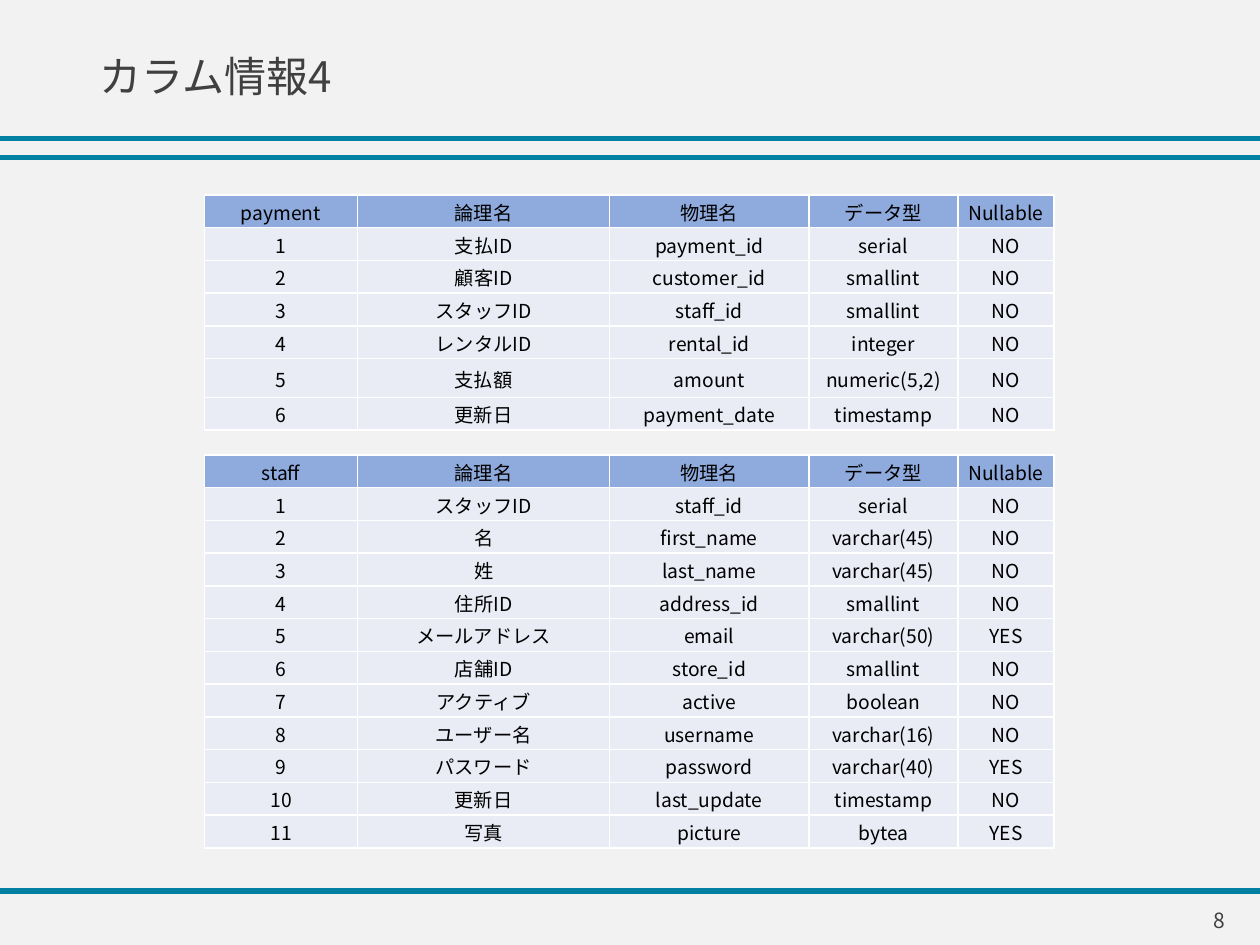
import pptx
import pptx.dml.color
import pptx.enum.shapes
import pptx.enum.text
import pptx.oxml
import pptx.oxml.ns
import pptx.util
from dataclasses import dataclass
from pptx.util import Cm

ALIGN = pptx.enum.text.PP_ALIGN
MIDDLE = pptx.enum.text.MSO_ANCHOR.MIDDLE
RGB = pptx.dml.color.RGBColor.from_string


@dataclass
class Theme:
    font: str = "Noto Sans CJK JP"
    background: str = "F2F2F2"
    rule: str = "0080A3"
    text: str = "404040"
    cell_text: str = "000000"
    header: str = "8FAADC"
    body: str = "E9EBF5"
    border: str = "FFFFFF"
    title_size: int = 24
    cell_size: int = 11
    number_size: int = 12


theme = Theme()


def put_text(tf, text, size, color=theme.text, align=ALIGN.LEFT, spacing=None):
    p = tf.paragraphs[0]
    p.alignment = align
    p.line_spacing = spacing
    r = p.add_run()
    r.text = text
    r.font.size = pptx.util.Pt(size)
    r.font.color.rgb = RGB(color)
    r.font.name = theme.font
    ea = pptx.oxml.parse_xml(f'<a:ea {pptx.oxml.ns.nsdecls("a")} typeface="{theme.font}"/>')
    r.font._element.append(ea)


def add_borders(cell):
    tcPr = cell._tc.get_or_add_tcPr()
    for i, side in enumerate(("lnL", "lnR", "lnT", "lnB")):
        tcPr.insert(i, pptx.oxml.parse_xml(
            f'<a:{side} {pptx.oxml.ns.nsdecls("a")} w="12700"><a:solidFill>'
            f'<a:srgbClr val="{theme.border}"/></a:solidFill></a:{side}>'))


prs = pptx.Presentation()
prs.slide_width, prs.slide_height = Cm(25.4), Cm(19.05)
s = prs.slides.add_slide(prs.slide_layouts[5])
s.background.fill.solid()
s.background.fill.fore_color.rgb = RGB(theme.background)

# Horizontal rules
for y in (2.79, 3.18, 17.96):
    sp = s.shapes.add_connector(pptx.enum.shapes.MSO_CONNECTOR.STRAIGHT,
                                0, Cm(y), prs.slide_width, Cm(y))
    sp.line.color.rgb = RGB(theme.rule)
    sp.line.width = pptx.util.Pt(3)
    sp._element.spPr.append(
        pptx.oxml.parse_xml(f'<a:effectLst {pptx.oxml.ns.nsdecls("a")}/>'))

# Title
sp = s.shapes.title
sp.left, sp.top, sp.width, sp.height = Cm(1.75), Cm(0.38), Cm(16.54), Cm(2.41)
tf = sp.text_frame
tf.word_wrap = True
tf.auto_size = pptx.enum.text.MSO_AUTO_SIZE.NONE
tf.vertical_anchor = MIDDLE
put_text(tf, "カラム情報4", theme.title_size, spacing=0.9)

# Column definitions: logical name, physical name, data type, nullable
headings = ("論理名", "物理名", "データ型", "Nullable")
payment = [
    ("支払ID", "payment_id", "serial", "NO"),
    ("顧客ID", "customer_id", "smallint", "NO"),
    ("スタッフID", "staff_id", "smallint", "NO"),
    ("レンタルID", "rental_id", "integer", "NO"),
    ("支払額", "amount", "numeric(5,2)", "NO"),
    ("更新日", "payment_date", "timestamp", "NO"),
]
staff = [
    ("スタッフID", "staff_id", "serial", "NO"),
    ("名", "first_name", "varchar(45)", "NO"),
    ("姓", "last_name", "varchar(45)", "NO"),
    ("住所ID", "address_id", "smallint", "NO"),
    ("メールアドレス", "email", "varchar(50)", "YES"),
    ("店舗ID", "store_id", "smallint", "NO"),
    ("アクティブ", "active", "boolean", "NO"),
    ("ユーザー名", "username", "varchar(16)", "NO"),
    ("パスワード", "password", "varchar(40)", "YES"),
    ("更新日", "last_update", "timestamp", "NO"),
    ("写真", "picture", "bytea", "YES"),
]
col_widths = (3.09, 5.08, 4.02, 3.0, 1.94)
row_height = 0.66
tall_rows = {("payment", 5): 0.78}

for name, top, columns in (("payment", 3.93, payment), ("staff", 9.17, staff)):
    rows = [(name, *headings)]
    rows += [(str(n), *column) for n, column in enumerate(columns, 1)]
    heights = [tall_rows.get((name, i), row_height) for i in range(len(rows))]
    table = s.shapes.add_table(len(rows), len(col_widths), Cm(4.12), Cm(top),
                               Cm(sum(col_widths)), Cm(sum(heights))).table
    for col, width in zip(table.columns, col_widths):
        col.width = Cm(width)
    for i, values in enumerate(rows):
        table.rows[i].height = Cm(heights[i])
        for j, value in enumerate(values):
            cell = table.cell(i, j)
            cell.margin_left = cell.margin_right = cell.margin_top = Cm(0.02)
            cell.margin_bottom = 0
            cell.vertical_anchor = MIDDLE
            cell.fill.solid()
            cell.fill.fore_color.rgb = RGB(theme.body if i else theme.header)
            add_borders(cell)
            put_text(cell.text_frame, value, theme.cell_size, theme.cell_text, ALIGN.CENTER)

# Page number
tf = s.shapes.add_textbox(Cm(19.23), Cm(18.03), Cm(5.72), Cm(1.02)).text_frame
tf.word_wrap = True
tf.vertical_anchor = MIDDLE
put_text(tf, "8", theme.number_size, align=ALIGN.RIGHT)

prs.save("out.pptx")
